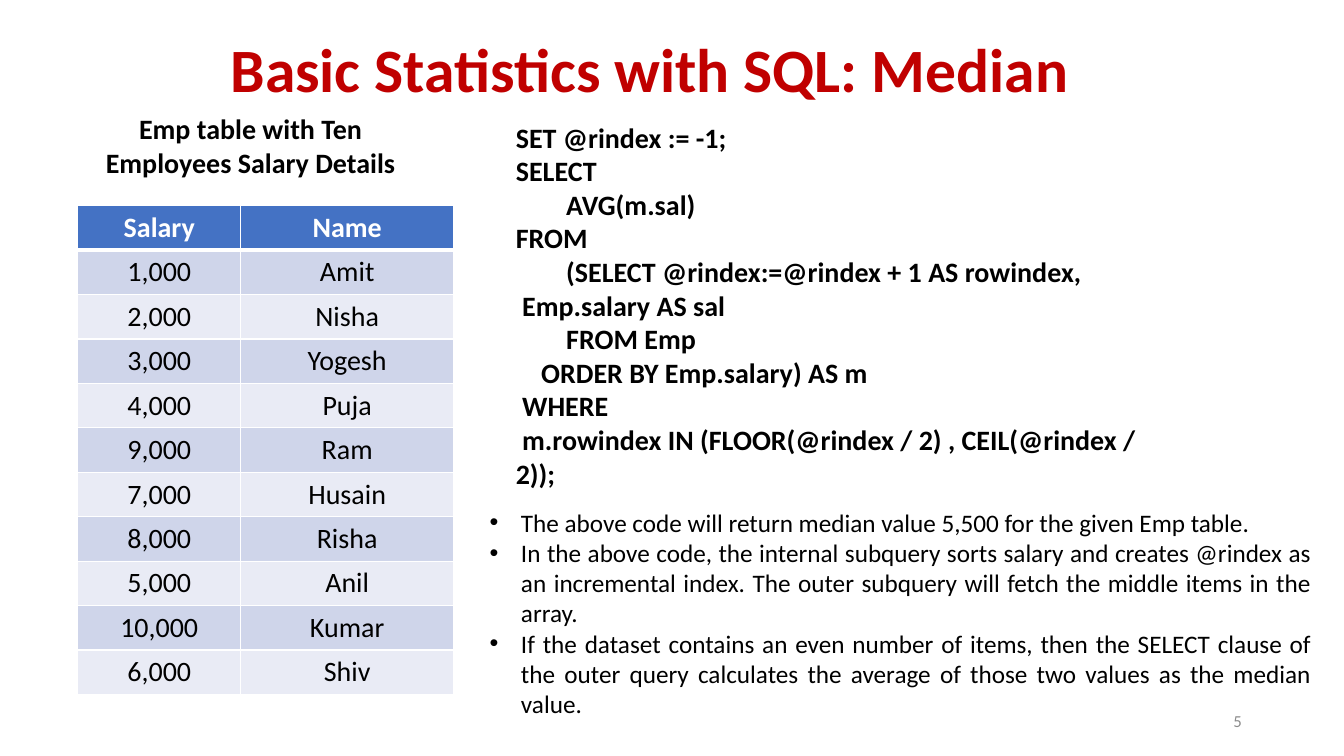
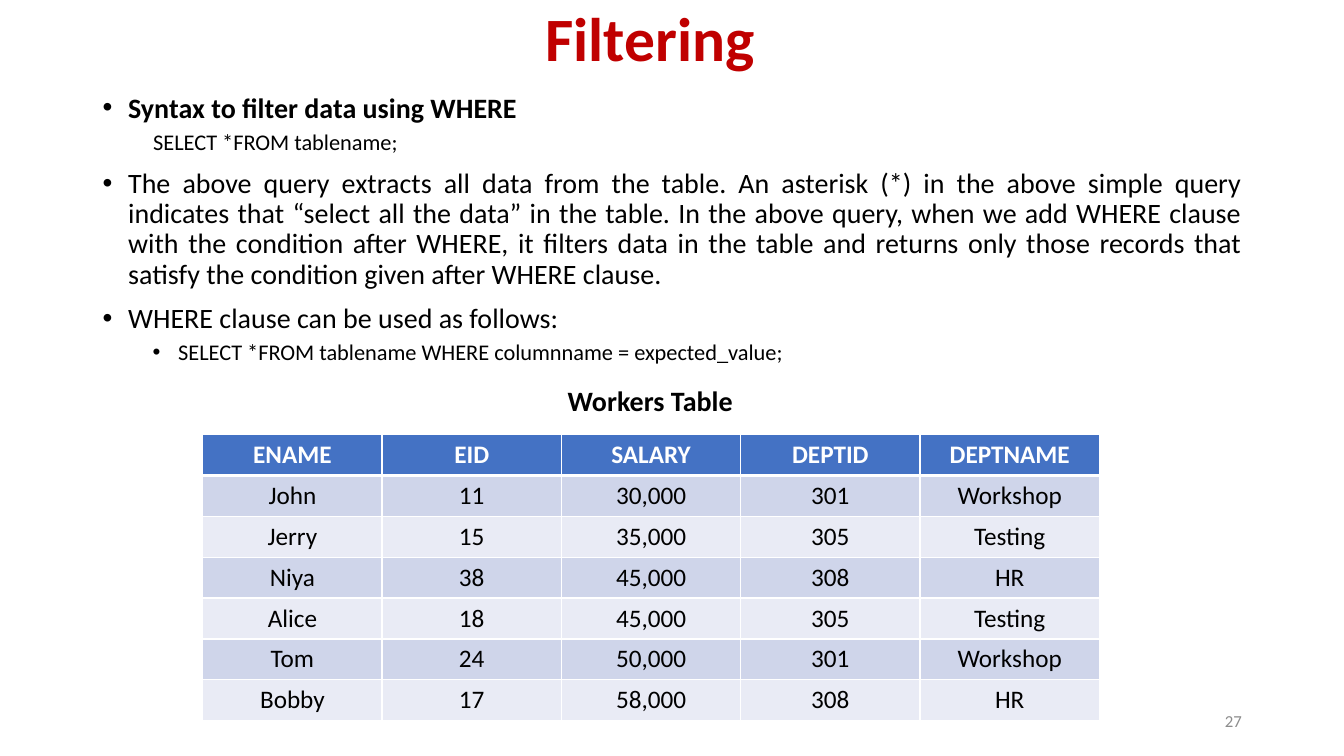
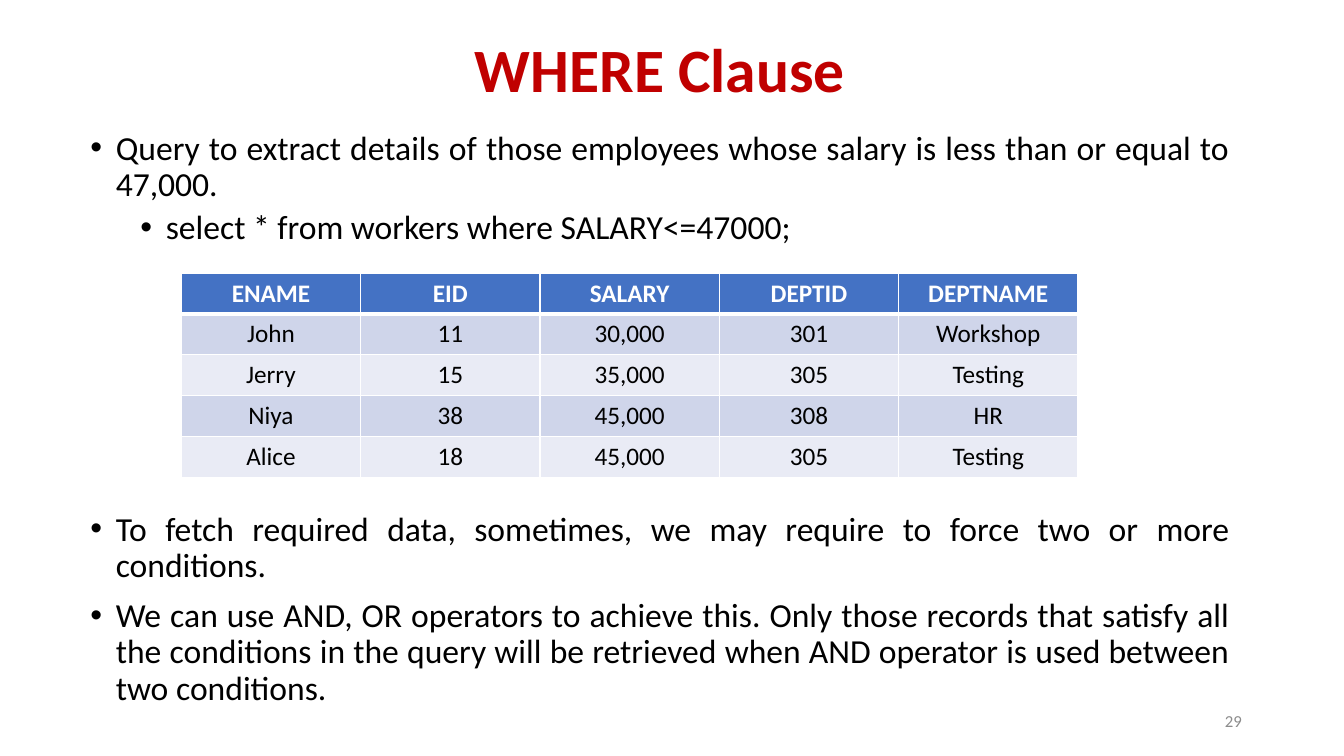
from dataclasses import dataclass

from lxml import etree
from pptx import Presentation
from pptx import util as u
from pptx.dml.color import RGBColor
from pptx.enum import text as t
from pptx.oxml import ns

Cm, Pt = u.Cm, u.Pt
LEFT, CENTER, RIGHT, JUSTIFY = (
    t.PP_ALIGN.LEFT, t.PP_ALIGN.CENTER, t.PP_ALIGN.RIGHT, t.PP_ALIGN.JUSTIFY)


@dataclass(frozen=True)
class Theme:
    font: str = "Calibri"
    title_color: str = "C00000"
    ink: str = "000000"
    number_color: str = "8C8C8C"
    white: str = "FFFFFF"
    header_fill: str = "4472C4"
    bands: tuple = ("CFD5EA", "E9EBF5")
    title_size: int = 44
    large: int = 24
    medium: int = 20
    small: int = 18
    code: int = 16
    number_size: int = 12
    thin: int = 1
    thick: int = 3


THEME = Theme()


@dataclass(frozen=True)
class Line:
    """One paragraph; indent and hang are in centimetres, before in points."""
    text: str
    size: int = THEME.medium
    bold: bool = False
    color: str = THEME.ink
    align: t.PP_ALIGN = LEFT
    level: int = 0
    indent: float = 0
    hang: float = 0
    spacing: float = 1
    before: int = 0


def point(text, size, align=JUSTIFY, bold=False):
    return Line(text, size, bold, align=align, indent=0.64, hang=0.64,
                spacing=0.9, before=10)


def subpoint(text, size, bullet=True):
    return Line(text, size, level=1, indent=1.9 if bullet else 1.27,
                hang=0.64 if bullet else 0, spacing=0.9, before=5)


def caption(text):
    return Line(text, bold=True, align=CENTER)


SALARIES = [
    ("Salary", "Name"),
    ("1,000", "Amit"),
    ("2,000", "Nisha"),
    ("3,000", "Yogesh"),
    ("4,000", "Puja"),
    ("9,000", "Ram"),
    ("7,000", "Husain"),
    ("8,000", "Risha"),
    ("5,000", "Anil"),
    ("10,000", "Kumar"),
    ("6,000", "Shiv"),
]

WORKERS = [
    ("ENAME", "EID", "SALARY", "DEPTID", "DEPTNAME"),
    ("John", "11", "30,000", "301", "Workshop"),
    ("Jerry", "15", "35,000", "305", "Testing"),
    ("Niya", "38", "45,000", "308", "HR"),
    ("Alice", "18", "45,000", "305", "Testing"),
    ("Tom", "24", "50,000", "301", "Workshop"),
    ("Bobby", "17", "58,000", "308", "HR"),
]
WORKER_COLUMNS = [4.52] * 5

MEDIAN_CODE = [
    "SET @rindex := -1;",
    "SELECT",
    "\tAVG(m.sal)",
    "FROM",
    "\t(SELECT @rindex:=@rindex + 1 AS rowindex,",
    " Emp.salary AS sal",
    " \tFROM Emp",
    "    ORDER BY Emp.salary) AS m",
    " WHERE",
    " m.rowindex IN (FLOOR(@rindex / 2) , CEIL(@rindex / 2));",
]

MEDIAN_NOTES = [
    "The above code will return median value 5,500 for the given Emp table.",
    "In the above code, the internal subquery sorts salary and creates @rindex as an "
    "incremental index. The outer subquery will fetch the middle items in the array.",
    "If the dataset contains an even number of items, then the SELECT clause of the "
    "outer query calculates the average of those two values as the median value.",
]

FILTER_LINES = [
    point("Syntax to filter data using WHERE", THEME.medium, bold=True),
    subpoint("SELECT *FROM tablename;", THEME.code, bullet=False),
    point("The above query extracts all data from the table. An asterisk (*) in the above "
          "simple query indicates that “select all the data” in the table. In the above "
          "query, when we add WHERE clause with the condition after WHERE, it filters data "
          "in the table and returns only those records that satisfy the condition given "
          "after WHERE clause.", THEME.medium),
    point("WHERE clause can be used as follows:", THEME.medium, LEFT),
    subpoint("SELECT *FROM tablename WHERE columnname = expected_value;", THEME.code),
]

WHERE_QUERY = [
    point("Query to extract details of those employees whose salary is less than or "
          "equal to 47,000.", THEME.large),
    subpoint("select * from workers where SALARY<=47000;", THEME.large),
]

WHERE_NOTES = [
    point("To fetch required data, sometimes, we may require to force two or more "
          "conditions.", THEME.large),
    point("We can use AND, OR operators to achieve this. Only those records that satisfy "
          "all the conditions in the query will be retrieved when AND operator is used "
          "between two conditions.", THEME.large),
]

# Places are left, top, width, height in centimetres.
SLIDES = [
    {
        "title": "Basic Statistics with SQL: Median",
        "title_at": (1.78, 0, 29.21, 3.68),
        "number": 5,
        "texts": [
            ((1.68, 2.69, 9.27, 1.96),
             [caption("Emp table with Ten Employees Salary Details")]),
            ((12.75, 2.9, 16.94, 9.73),
             [Line(code, bold=True) for code in MEDIAN_CODE]),
            ((12.09, 12.65, 21.21, 5.64),
             [Line(note, THEME.small, align=JUSTIFY, indent=0.79, hang=0.79)
              for note in MEDIAN_NOTES]),
        ],
        "table": {"at": (1.96, 5.18), "columns": [4.11, 5.36], "row": 1.12,
                  "size": THEME.medium, "rows": SALARIES},
    },
    {
        "title": "Filtering",
        "title_at": (1.78, 0, 29.21, 2.1),
        "number": 27,
        "texts": [
            ((2.34, 2.24, 29.21, 7.2), FILTER_LINES),
            ((13.97, 9.53, 4.83, 1.12), [caption("Workers Table")]),
        ],
        "table": {"at": (5.11, 10.95), "columns": WORKER_COLUMNS, "row": 1.03,
                  "size": THEME.small, "rows": WORKERS},
    },
    {
        "title": "WHERE Clause",
        "title_at": (2.03, 0, 29.21, 3.68),
        "number": 29,
        "texts": [
            ((2.03, 3.18, 29.21, 3.2), WHERE_QUERY),
            ((2.03, 12.78, 29.21, 5.25), WHERE_NOTES),
        ],
        "table": {"at": (4.57, 6.88), "columns": WORKER_COLUMNS, "row": 1.03,
                  "size": THEME.small, "rows": WORKERS[:5]},
    },
]
NUMBER_AT = (23.93, 17.65, 7.62, 1.02)


def lengths(values):
    return [Cm(value) for value in values]


def write_line(para, line, first=True):
    para.text = line.text
    para.alignment = line.align
    para.level = line.level
    para.line_spacing = line.spacing
    para.space_before = Pt(0 if first else line.before)
    props = para._p.get_or_add_pPr()
    props.set("marL", str(Cm(line.indent)))
    props.set("indent", str(-Cm(line.hang)))
    if line.hang:
        etree.SubElement(props, ns.qn("a:buFont")).set("typeface", "Arial")
        etree.SubElement(props, ns.qn("a:buChar")).set("char", "•")
    para.font.name = THEME.font
    para.font.size = Pt(line.size)
    para.font.bold = line.bold
    para.font.color.rgb = RGBColor.from_string(line.color)


def add_text(slide, place, lines, anchor=t.MSO_ANCHOR.TOP):
    frame = slide.shapes.add_textbox(*lengths(place)).text_frame
    frame.word_wrap = True
    frame.vertical_anchor = anchor
    for index, line in enumerate(lines):
        para = frame.add_paragraph() if index else frame.paragraphs[0]
        write_line(para, line, first=index == 0)


def set_title(slide, title, place):
    box = slide.shapes.title
    box.left, box.top, box.width, box.height = lengths(place)
    box.text_frame.vertical_anchor = t.MSO_ANCHOR.MIDDLE
    write_line(box.text_frame.paragraphs[0],
               Line(title, THEME.title_size, True, THEME.title_color, CENTER, spacing=0.9))


def set_borders(cell, widths):
    """Draw white cell borders; widths maps a side (L, R, T, B) to points."""
    props = cell._tc.get_or_add_tcPr()
    for side, width in widths.items():
        border = etree.SubElement(props, ns.qn(f"a:ln{side}"), w=str(Pt(width)))
        fill = etree.SubElement(border, ns.qn("a:solidFill"))
        etree.SubElement(fill, ns.qn("a:srgbClr"), val=THEME.white)


def add_table(slide, at, columns, row, size, rows):
    place = (*at, sum(columns), row * len(rows))
    table = slide.shapes.add_table(len(rows), len(columns), *lengths(place)).table
    for column, width in zip(table.columns, columns):
        column.width = Cm(width)
    for r, values in enumerate(rows):
        table.rows[r].height = Cm(row)
        header = r == 0
        borders = {"L": THEME.thin, "R": THEME.thin}
        if header:
            borders["T"] = THEME.thin
        borders["B"] = THEME.thick if header else THEME.thin
        color = THEME.white if header else THEME.ink
        fill = THEME.header_fill if header else THEME.bands[(r - 1) % 2]
        for c, value in enumerate(values):
            cell = table.cell(r, c)
            set_borders(cell, borders)
            cell.fill.solid()
            cell.fill.fore_color.rgb = RGBColor.from_string(fill)
            write_line(cell.text_frame.paragraphs[0],
                       Line(value, size, header, color, CENTER))


def main():
    deck = Presentation()
    deck.slide_width, deck.slide_height = Cm(33.87), Cm(19.05)
    title_only = deck.slide_layouts[5]
    for content in SLIDES:
        slide = deck.slides.add_slide(title_only)
        set_title(slide, content["title"], content["title_at"])
        for place, lines in content["texts"]:
            add_text(slide, place, lines)
        add_table(slide, **content["table"])
        number = Line(str(content["number"]), THEME.number_size,
                      color=THEME.number_color, align=RIGHT)
        add_text(slide, NUMBER_AT, [number], t.MSO_ANCHOR.MIDDLE)
    deck.save("out.pptx")


if __name__ == "__main__":
    main()
